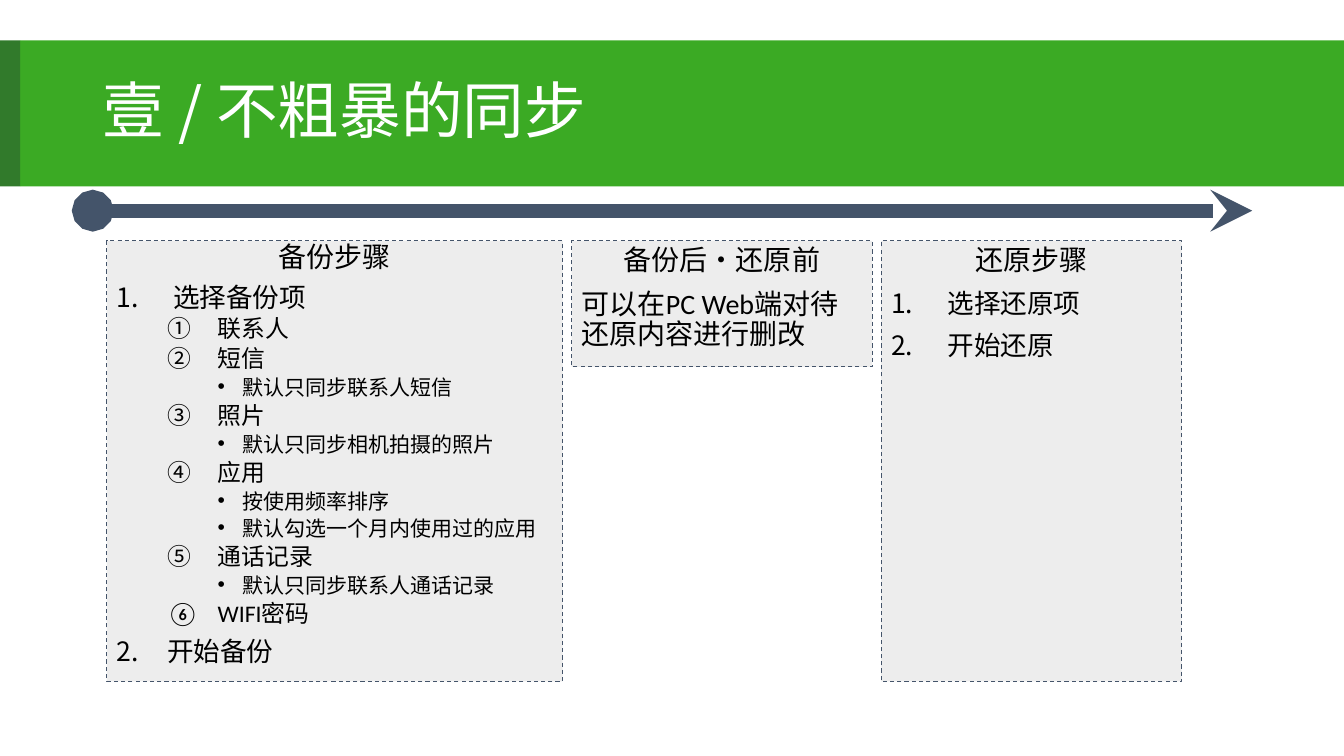
from pptx import Presentation
from pptx.dml.color import RGBColor
from pptx.enum.dml import MSO_LINE
from pptx.enum.shapes import MSO_CONNECTOR, MSO_SHAPE
from pptx.enum.text import MSO_ANCHOR, PP_ALIGN, MSO_AUTO_SIZE
from pptx.oxml.ns import qn
from pptx.util import Inches, Pt
from lxml.etree import SubElement

CJK, LATIN = "Noto Sans CJK SC", "Calibri"
GREEN, DARK, SLATE, GREY = "3BAA24", "317A2B", "44546A", "EDEDED"
TITLE = "壹 / 不粗暴的同步"

# kind: level, size, space before, indent, hang, font, bullet tag, bullet value
KINDS = {
    "head": (0, 20, 10, 0, 0, CJK, "buNone", None),
    "text": (0, 20, 10, 0, 0, LATIN, "buNone", None),
    "step": (0, 19, 10, 0.56, 0.56, LATIN, "buAutoNum", "arabicPeriod"),
    "last": (0, 19, 10, 0.5, 0.5, LATIN, "buAutoNum", "arabicPeriod"),
    "item": (1, 17, 5, 1, 0.5, LATIN, "buAutoNum", "circleNumDbPlain"),
    "note": (2, 15, 5, 1.25, 0.25, LATIN, "buChar", "•"),
}
BACKUP = [
    ("head", "备份步骤"), ("step", "选择备份项"),
    ("item", "联系人"),
    ("item", "短信"), ("note", "默认只同步联系人短信"),
    ("item", "照片"), ("note", "默认只同步相机拍摄的照片"),
    ("item", "应用"), ("note", "按使用频率排序"),
    ("note", "默认勾选一个月内使用过的应用"),
    ("item", "通话记录"), ("note", "默认只同步联系人通话记录"),
    ("item", "WIFI密码"), ("last", "开始备份"),
]
BETWEEN = [("head", "备份后·还原前"), ("text", "可以在PC Web端对待还原内容进行删改")]
RESTORE = [("head", "还原步骤"), ("step", "选择还原项"), ("step", "开始还原")]
# width, height, line spacing, rows
PANELS = [(4.52, 4.37, 0.8, BACKUP), (2.98, 1.25, 0.9, BETWEEN), (2.98, 4.37, 0.9, RESTORE)]
LEFT, TOP, GAP = 1.06, 2.39, 0.09


def color(code):
    return RGBColor.from_string(code)


def box(x, y, w, h, fill):
    shape = slide.shapes.add_shape(MSO_SHAPE.RECTANGLE, *map(Inches, (x, y, w, h)))
    shape.shadow.inherit = False
    shape.fill.solid()
    shape.fill.fore_color.rgb = color(fill)
    shape.line.fill.background()
    return shape


def style(para, font, size, ink):
    para.font.name, para.font.size = font, Pt(size)
    para.font.color.rgb = color(ink)
    SubElement(para.font._element, qn("a:ea"), typeface=CJK)


def write(para, kind, text, space):
    level, size, before, left, hang, font, tag, value = KINDS[kind]
    para.text, para.level = text, level
    para.alignment = PP_ALIGN.CENTER if kind == "head" else PP_ALIGN.LEFT
    para.line_spacing, para.space_before = space, Pt(before)
    props = para._p.get_or_add_pPr()
    props.set("marL", str(Inches(left)))
    props.set("indent", str(-Inches(hang)))
    if tag == "buChar":
        SubElement(props, qn("a:buFont"), typeface="Arial")
    mark = SubElement(props, qn("a:" + tag))
    if value:
        mark.set("char" if tag == "buChar" else "type", value)
    style(para, font, size, "000000")


def panel(x, w, h, space, rows):
    shape = box(x, TOP, w, h, GREY)
    shape.line.color.rgb = color(SLATE)
    shape.line.width, shape.line.dash_style = Pt(0.75), MSO_LINE.DASH
    frame = shape.text_frame
    frame.word_wrap, frame.vertical_anchor = True, MSO_ANCHOR.TOP
    for i, (kind, text) in enumerate(rows):
        para = frame.add_paragraph() if i else frame.paragraphs[0]
        write(para, kind, text, space)


def arrow(x, y, end):
    line = slide.shapes.add_connector(MSO_CONNECTOR.STRAIGHT, *map(Inches, (x, y, end, y)))
    line.line.color.rgb, line.line.width = color(SLATE), Pt(10)
    stroke = line.line._get_or_add_ln()
    SubElement(stroke, qn("a:headEnd"), type="oval")
    SubElement(stroke, qn("a:tailEnd"), type="stealth")
    SubElement(line._element.spPr, qn("a:effectLst"))


def head():
    title = slide.shapes.title
    slide.shapes._spTree.append(title._element)
    title.left, title.top, title.width, title.height = map(Inches, (0.92, 0.4, 11.5, 1.45))
    frame = title.text_frame
    frame.text, frame.vertical_anchor = TITLE, MSO_ANCHOR.MIDDLE
    frame.word_wrap, frame.auto_size = True, MSO_AUTO_SIZE.NONE
    para = frame.paragraphs[0]
    para.alignment, para.line_spacing = PP_ALIGN.LEFT, 0.9
    style(para, CJK, 44, "FFFFFF")


def build():
    """Build the slide of backup and restore steps."""
    box(0.2, 0.4, 13.13, 1.45, GREEN)
    box(0, 0.4, 0.2, 1.45, DARK)
    head()
    arrow(0.92, 2.09, 12.42)
    x = LEFT
    for w, h, space, rows in PANELS:
        panel(x, w, h, space, rows)
        x += w + GAP


deck = Presentation()
deck.slide_width, deck.slide_height = Inches(13.33), Inches(7.5)
slide = deck.slides.add_slide(deck.slide_layouts[5])
build()
deck.save("out.pptx")
